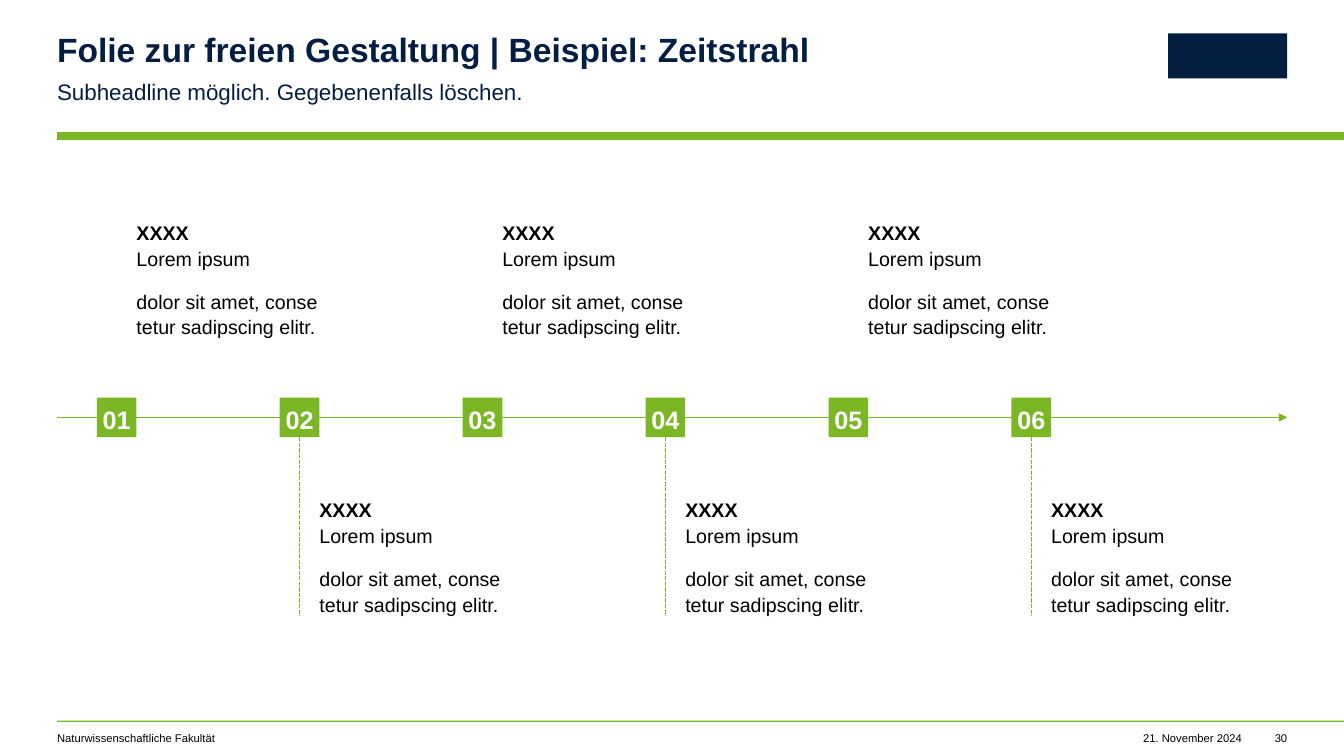
from lxml import etree
from pptx import Presentation
from pptx.dml.color import RGBColor
from pptx.enum.dml import MSO_LINE_DASH_STYLE as DASH
from pptx.enum.shapes import MSO_CONNECTOR, MSO_SHAPE
from pptx.enum.text import MSO_ANCHOR, PP_ALIGN
from pptx.oxml.ns import qn
from pptx.util import Cm, Pt

GREEN = RGBColor(0x7B, 0xB7, 0x25)
NAVY = RGBColor(0x04, 0x1E, 0x42)
BLACK = RGBColor(0, 0, 0)
WHITE = RGBColor(0xFF, 0xFF, 0xFF)

WIDTH = 33.87
LEFT = 1.44
RIGHT = 32.44
AXIS_Y = 10.52
MARKER = 1.0
FIRST_X = 2.44
PITCH = 4.61
STEM = 4.5
UPPER_Y = 5.51
LOWER_Y = 12.5

ENTRY = "XXXX\vLorem ipsum\ndolor sit amet, conse\vtetur sadipscing elitr."


def write(s, text, size, color, bold=False, align=PP_ALIGN.LEFT,
          spacing=1.0, after=0, wrap=True):
    tf = s.text_frame
    tf.text = text
    tf.word_wrap = wrap
    tf.margin_left = tf.margin_right = tf.margin_top = tf.margin_bottom = 0
    for p in tf.paragraphs:
        p.alignment = align
        p.line_spacing = spacing
        p.space_after = Pt(after)
        for r in p.runs:
            r.font.name = "Arial"
            r.font.size = Pt(size)
            r.font.bold = bold
            r.font.color.rgb = color
    return tf


def add_text(slide, x, y, w, h, text, size, color=BLACK, **style):
    s = slide.shapes.add_textbox(Cm(x), Cm(y), Cm(w), Cm(h))
    return write(s, text, size, color, **style)


def add_bar(slide, x, y, w, h, color=GREEN):
    s = slide.shapes.add_shape(MSO_SHAPE.RECTANGLE, Cm(x), Cm(y), Cm(w), Cm(h))
    s.shadow.inherit = False
    s.fill.solid()
    s.fill.fore_color.rgb = color
    s.line.fill.background()
    return s


def add_line(slide, x1, y1, x2, y2):
    s = slide.shapes.add_connector(
        MSO_CONNECTOR.STRAIGHT, Cm(x1), Cm(y1), Cm(x2), Cm(y2))
    s.line.color.rgb = GREEN
    s.line.width = Pt(1)
    etree.SubElement(s._element.spPr, qn("a:effectLst"))
    return s


def add_axis(slide):
    s = add_line(slide, LEFT, AXIS_Y, RIGHT, AXIS_Y)
    etree.SubElement(s.line._get_or_add_ln(), qn("a:tailEnd"), type="triangle")


def add_step(slide, index):
    x = FIRST_X + index * PITCH
    below = index % 2 == 1
    marker = add_bar(slide, x, AXIS_Y - MARKER / 2, MARKER, MARKER)
    tf = write(marker, f"{index + 1:02d}", 18, WHITE, bold=True,
               align=PP_ALIGN.CENTER, spacing=1.1, after=12)
    tf.vertical_anchor = MSO_ANCHOR.MIDDLE

    text_x = x + (MARKER if not below else MARKER)
    tf = add_text(slide, text_x, LOWER_Y if below else UPPER_Y, 4.95, 3,
                  ENTRY, 14, spacing=1.1, after=12)
    tf.paragraphs[0].runs[0].font.bold = True

    if below:
        stem_x = x + MARKER / 2
        stem_y = AXIS_Y + MARKER / 2
        stem = add_line(slide, stem_x, stem_y, stem_x, stem_y + STEM)
        stem.line.dash_style = DASH.SQUARE_DOT
        stem.begin_connect(marker, 2)


def add_frame(slide):
    add_bar(slide, LEFT, 3.33, WIDTH - LEFT, 0.2)
    add_bar(slide, LEFT, 18.16, WIDTH - LEFT, 0.03)
    add_bar(slide, 29.44, 0.84, 3, 1.14, NAVY)
    add_text(slide, LEFT, 0.84, 19.02, 0.91,
             "Folie zur freien Gestaltung | Beispiel: Zeitstrahl",
             24, NAVY, bold=True, spacing=0.9)
    add_text(slide, LEFT, 1.9, 19.02, 0.69,
             "Subheadline möglich. Gegebenenfalls löschen.",
             16, NAVY, spacing=1.1, after=12)
    add_text(slide, LEFT, 18.44, 15.19, 0.33,
             "Naturwissenschaftliche Fakultät", 8)
    add_text(slide, 28.8, 18.44, 2.5, 0.33, "21. November 2024", 8,
             align=PP_ALIGN.RIGHT)
    add_text(slide, 31.94, 18.44, 0.5, 0.33, "30", 8, align=PP_ALIGN.RIGHT)


def main():
    prs = Presentation()
    prs.slide_width = Cm(WIDTH)
    prs.slide_height = Cm(19.05)
    slide = prs.slides.add_slide(prs.slide_layouts[6])
    add_frame(slide)
    add_axis(slide)
    for index in range(6):
        add_step(slide, index)
    prs.save("out.pptx")


if __name__ == "__main__":
    main()
